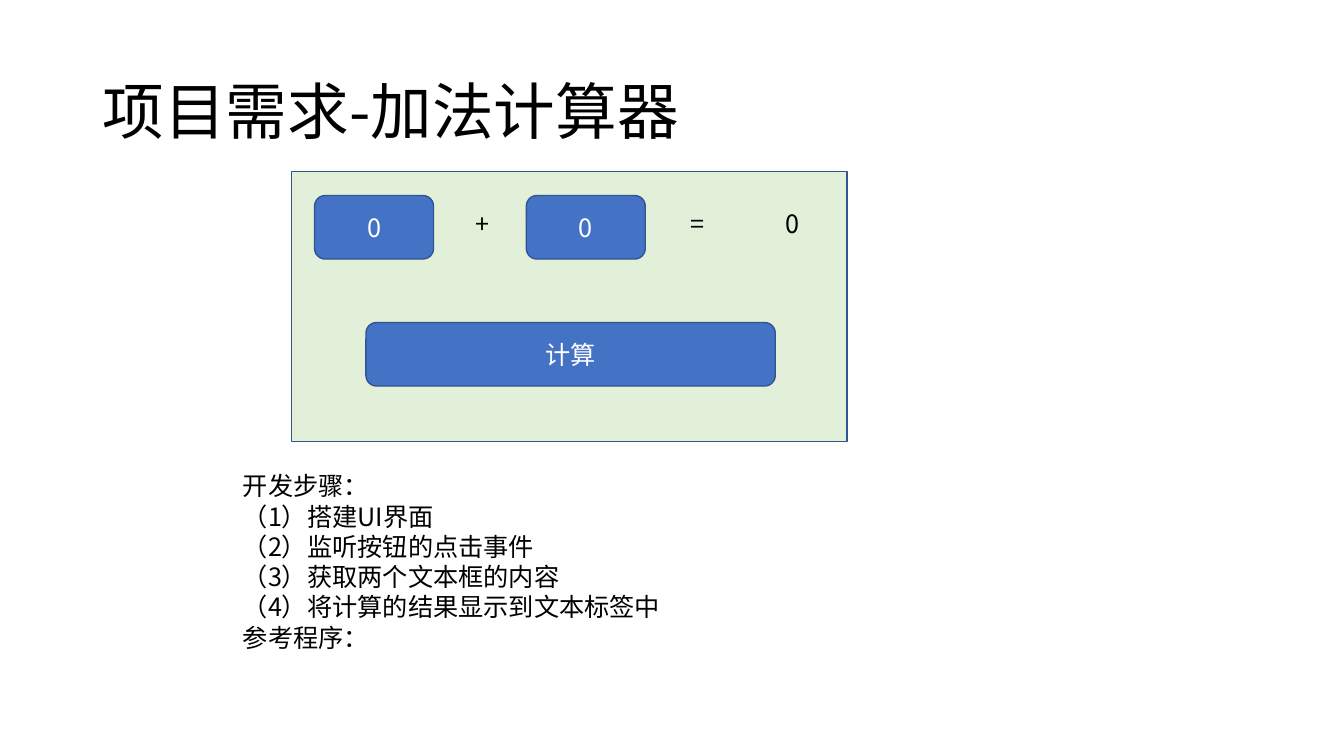
from pptx import Presentation
from pptx.dml.color import RGBColor
from pptx.enum.shapes import MSO_SHAPE as SHAPE
from pptx.enum.text import MSO_ANCHOR as ANCHOR, PP_ALIGN as ALIGN
from pptx.oxml.ns import qn
from pptx.util import Inches, Pt

FONT = "Noto Sans CJK SC"
BLACK = RGBColor(0x00, 0x00, 0x00)
WHITE = RGBColor(0xFF, 0xFF, 0xFF)
BLUE = RGBColor(0x44, 0x72, 0xC4)
OUTLINE = RGBColor(0x32, 0x54, 0x91)
PALE_GREEN = RGBColor(0xE2, 0xF0, 0xD9)

STEPS = [
    "开发步骤：",
    "（1）搭建UI界面",
    "（2）监听按钮的点击事件",
    "（3）获取两个文本框的内容",
    "（4）将计算的结果显示到文本标签中",
    "参考程序：",
]


def write(tf, lines, size=18, color=BLACK, align=ALIGN.LEFT, spacing=1.2):
    """Fill a text frame, one paragraph per line."""
    tf.word_wrap = True
    for i, line in enumerate(lines):
        p = tf.paragraphs[0] if i == 0 else tf.add_paragraph()
        p.alignment = align
        p.line_spacing = Pt(size * spacing)
        r = p.add_run()
        r.text = line
        r.font.size = Pt(size)
        r.font.name = FONT
        r.font.color.rgb = color
        # East Asian characters take their own typeface entry
        ea = r.font._element.makeelement(qn("a:ea"), {"typeface": FONT})
        r.font._element.find(qn("a:latin")).addnext(ea)


def add_text(shapes, box, lines, anchor=ANCHOR.TOP, **style):
    tf = shapes.add_textbox(*map(Inches, box)).text_frame
    tf.vertical_anchor = anchor
    write(tf, lines, **style)


def add_box(shapes, kind, box, fill):
    sp = shapes.add_shape(kind, *map(Inches, box))
    sp.shadow.inherit = False
    sp.fill.solid()
    sp.fill.fore_color.rgb = fill
    sp.line.color.rgb = OUTLINE
    sp.line.width = Pt(1)
    return sp


def add_button(shapes, left, top, width, label):
    sp = add_box(shapes, SHAPE.ROUNDED_RECTANGLE, (left, top, width, 0.63), BLUE)
    sp.text_frame.vertical_anchor = ANCHOR.MIDDLE
    write(sp.text_frame, [label], color=WHITE, align=ALIGN.CENTER)


def add_calculator(s):
    shapes = s.shapes.add_group_shape().shapes
    add_box(shapes, SHAPE.RECTANGLE, (2.89, 1.7, 5.51, 2.68), PALE_GREEN)
    # Two input fields
    for left in (3.12, 5.22):
        add_button(shapes, left, 1.94, 1.18, "0")
    # Operators and result label
    for left, label in ((4.62, "+"), (6.75, "="), (7.69, "0")):
        add_text(shapes, (left, 2.02, 0.39, 0.4), [label])
    # Calculate button
    add_button(shapes, 3.63, 3.2, 4.06, "计算")


def main():
    prs = Presentation()
    prs.slide_width, prs.slide_height = Inches(13.33), Inches(7.5)
    s = prs.slides.add_slide(prs.slide_layouts[6])

    # Title
    add_text(s.shapes, (0.92, 0.4, 11.5, 1.45), ["项目需求-加法计算器"],
             anchor=ANCHOR.MIDDLE, size=44, spacing=1.08)
    # Calculator mock-up
    add_calculator(s)
    # Development steps
    add_text(s.shapes, (2.31, 4.62, 7.95, 1.92), STEPS)

    prs.save("out.pptx")


main()
